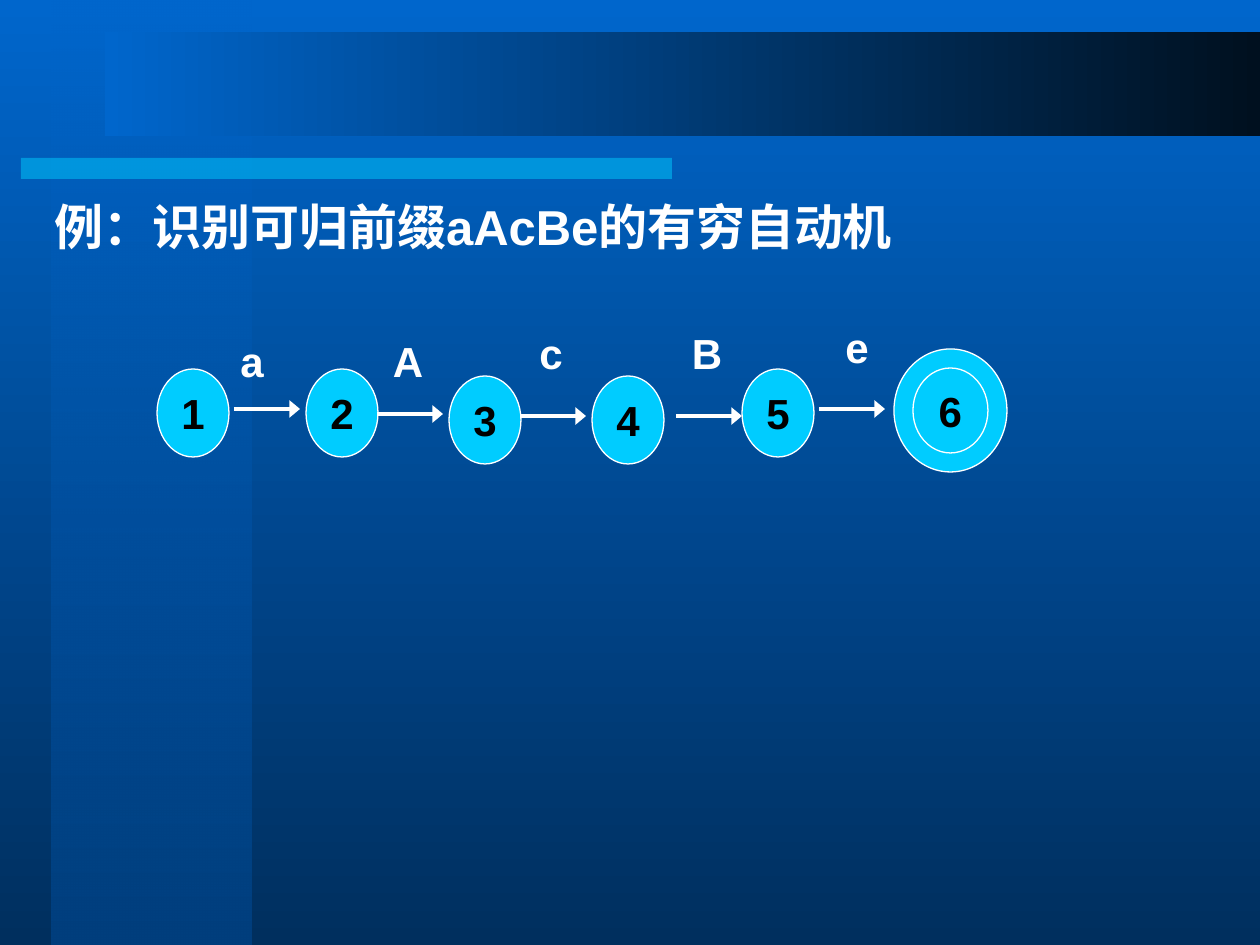
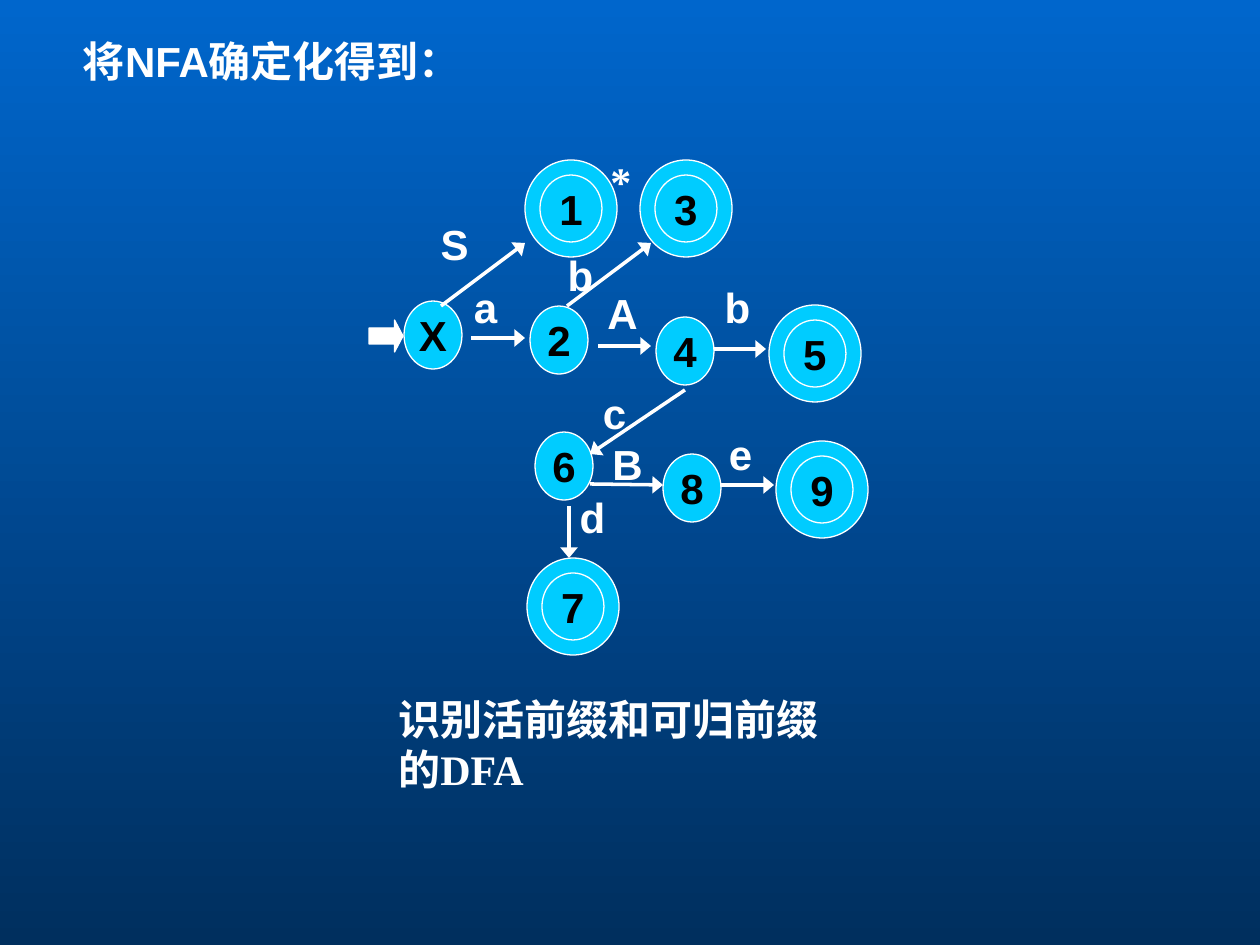
from dataclasses import dataclass

from lxml import etree
from pptx import Presentation
from pptx.dml.color import RGBColor
from pptx.enum.shapes import MSO_CONNECTOR, MSO_SHAPE
from pptx.enum.text import MSO_ANCHOR, MSO_AUTO_SIZE, PP_ALIGN
from pptx.oxml.ns import qn
from pptx.util import Pt

LEFT, CENTER = PP_ALIGN.LEFT, PP_ALIGN.CENTER
TOP, MIDDLE = MSO_ANCHOR.TOP, MSO_ANCHOR.MIDDLE
GROW, FIXED = MSO_AUTO_SIZE.SHAPE_TO_FIT_TEXT, MSO_AUTO_SIZE.NONE
RECT, OVAL, RIGHT_ARROW = MSO_SHAPE.RECTANGLE, MSO_SHAPE.OVAL, MSO_SHAPE.RIGHT_ARROW
STRAIGHT = MSO_CONNECTOR.STRAIGHT
PX = 914400 / 126  # EMU per px


@dataclass(frozen=True)
class Theme:
    white = RGBColor(0xFF, 0xFF, 0xFF)
    black = RGBColor(0x00, 0x00, 0x00)
    cyan = RGBColor(0x00, 0xCC, 0xFF)
    blue = RGBColor(0x00, 0x66, 0xCC)
    mid_blue = RGBColor(0x00, 0x3F, 0x7E)
    deep_blue = RGBColor(0x00, 0x2F, 0x5E)
    night = RGBColor(0x00, 0x10, 0x1F)
    sans = "Arial"
    serif = "Times New Roman"
    title_size = Pt(28)
    text_size = Pt(24)
    outline = Pt(0.75)
    arrow = Pt(2)


theme = Theme()


def write(shape, text, color=theme.white, font=theme.sans, size=theme.text_size,
          align=CENTER, anchor=TOP, wrap=True, fit=GROW):
    """Put one bold run into a shape."""
    frame = shape.text_frame
    frame.word_wrap = wrap
    frame.auto_size = fit
    frame.vertical_anchor = anchor
    paragraph = frame.paragraphs[0]
    paragraph.alignment = align
    run = paragraph.add_run()
    run.text = text
    run.font.name, run.font.size, run.font.bold = font, size, True
    run.font.color.rgb = color
    return paragraph


def add_figure(slide, kind, box, stops, angle=0, outlined=True):
    """Add a preset shape with a plain fill (one stop) or a gradient (two)."""
    figure = slide.shapes.add_shape(kind, *[round(v * PX) for v in box])
    figure.shadow.inherit = False
    if len(stops) == 1:
        figure.fill.solid()
        figure.fill.fore_color.rgb = stops[0]
    else:
        figure.fill.gradient()
        figure.fill.gradient_angle = angle
        for stop, color in zip(figure.fill.gradient_stops, stops):
            stop.color.rgb = color
    if outlined:
        figure.line.color.rgb = theme.white
        figure.line.width = theme.outline
    else:
        figure.line.fill.background()
    return figure


prs = Presentation()
prs.slide_width, prs.slide_height = round(1260 * PX), round(945 * PX)

# Shared background
backdrop = prs.slide_master.background.fill
backdrop.gradient()
backdrop.gradient_angle = 270
for stop, color in zip(backdrop.gradient_stops, (theme.blue, theme.deep_blue)):
    stop.color.rgb = color

prefix_slide, dfa_slide = [prs.slides.add_slide(prs.slide_layouts[5]) for _ in range(2)]

# Bands of the first slide; the first colour of the two left ones is half clear
side_band = add_figure(prefix_slide, RECT, (52, 0, 200, 945),
                       (theme.blue, theme.mid_blue), 270, outlined=False)
rule = add_figure(prefix_slide, RECT, (21, 158, 651, 21), (theme.cyan,), outlined=False)
add_figure(prefix_slide, RECT, (105, 32, 1155, 104), (theme.blue, theme.night), outlined=False)
for band in (side_band, rule):
    first_color = next(band._element.spPr.iter(qn("a:srgbClr")))
    etree.SubElement(first_color, qn("a:alpha")).set("val", "50000")

# Titles, brought in front of the bands
titles = [
    (prefix_slide, "例：识别可归前缀aAcBe的有穷自动机", (42, 197, 960, 65), theme.title_size, LEFT),
    (dfa_slide, "将NFA确定化得到：", (25, 35, 494, 58), theme.text_size, CENTER),
]
for slide, text, box, size, align in titles:
    title = slide.shapes.title
    title.left, title.top, title.width, title.height = [round(v * PX) for v in box]
    write(title, text, size=size, align=align).line_spacing = 0.9
    title._element.getparent().append(title._element)

# Entry arrow of the DFA
entry = add_figure(dfa_slide, RIGHT_ARROW, (369, 320, 34, 32), (theme.white,))
entry.adjustments[0], entry.adjustments[1] = 0.5, 0.265

# Automata. Sizes: state, final state, ring of a final state, label width.
# States: name, left, top. Moves: symbol, label left and top, arrow from and to.
automata = [
    dict(
        slide=prefix_slide, state=(72, 88), final=(113, 123), ring=19, label_width=86,
        states=[("1", 157, 369), ("2", 306, 369), ("3", 449, 376),
                ("4", 592, 376), ("5", 742, 369)],
        finals=[("6", 894, 349)],
        moves=[
            ("a", 209, 329, 234, 409, 300, 409),
            ("A", 365, 329, 377, 414, 443, 414),
            ("c", 508, 321, 520, 416, 586, 416),
            ("B", 664, 321, 676, 416, 742, 416),
            ("e", 814, 315, 819, 409, 885, 409),
        ],
    ),
    dict(
        slide=dfa_slide, state=(58, 68), final=(92, 97), ring=15, label_width=69,
        states=[("X", 404, 301), ("2", 530, 306), ("4", 656, 317),
                ("6", 535, 432), ("8", 663, 454)],
        finals=[("1", 525, 160), ("3", 640, 160), ("5", 769, 305),
                ("7", 527, 558), ("9", 776, 441)],
        moves=[
            ("a", 451, 275, 471, 338, 525, 338),
            ("S", 420, 212, 441, 306, 525, 243),
            ("A", 588, 281, 598, 346, 651, 346),
            ("b", 703, 275, 714, 349, 766, 349),
            ("b", 546, 243, 567, 306, 651, 243),
            ("c", 580, 381, 685, 390, 590, 454),
            ("d", 558, 485, 569, 506, 569, 558),
            ("B", 593, 432, 590, 484, 663, 485),
            ("e", 706, 422, 721, 485, 774, 485),
        ],
    ),
]
for automaton in automata:
    slide, ring = automaton["slide"], automaton["ring"]

    # States, the final ones as double circles
    circles = [(name, x, y, *automaton["state"]) for name, x, y in automaton["states"]]
    final_w, final_h = automaton["final"]
    for name, x, y in automaton["finals"]:
        add_figure(slide, OVAL, (x, y, final_w, final_h), (theme.cyan,))
        circles.append((name, x + ring, y + ring, final_w - 2 * ring, final_h - 2 * ring))
    for name, *box in circles:
        circle = add_figure(slide, OVAL, box, (theme.cyan,))
        write(circle, name, theme.black, anchor=MIDDLE, wrap=False, fit=FIXED)

    # Moves with their symbols
    for symbol, x, y, *ends in automaton["moves"]:
        move = slide.shapes.add_connector(STRAIGHT, *[round(v * PX) for v in ends])
        move.line.color.rgb = theme.white
        move.line.width = theme.arrow
        head = etree.SubElement(move._element.spPr.find(qn("a:ln")), qn("a:tailEnd"))
        head.set("type", "triangle")
        head.set("w", "lg")
        etree.SubElement(move._element.spPr, qn("a:effectLst"))
        label_box = (x, y, automaton["label_width"], 63)
        write(slide.shapes.add_textbox(*[round(v * PX) for v in label_box]), symbol)

# Star beside state 1 and caption of the DFA
for text, box in [("*", (598, 149, 42, 63)), ("识别活前缀和可归前缀的DFA", (386, 687, 462, 113))]:
    note = dfa_slide.shapes.add_textbox(*[round(v * PX) for v in box])
    write(note, text, font=theme.serif, align=LEFT)

prs.save("out.pptx")
